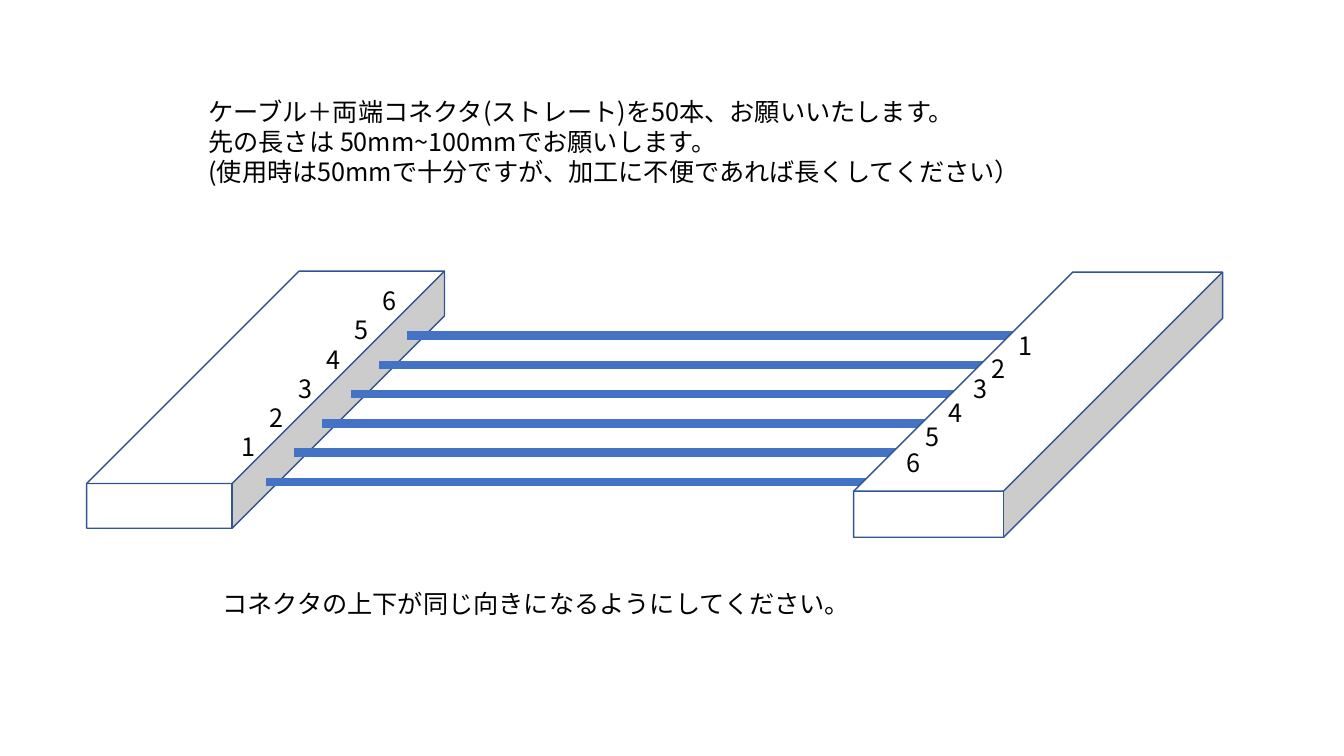
from lxml import etree
from pptx import Presentation
from pptx.dml.color import RGBColor
from pptx.enum.shapes import MSO_CONNECTOR, MSO_SHAPE
from pptx.oxml.ns import qn
from pptx.util import Pt

CUBE = MSO_SHAPE.CUBE
STRAIGHT = MSO_CONNECTOR.STRAIGHT

PIN_COUNT = 6
PIN_STEP_X, PIN_STEP_Y = 20.12, 20.88


def color(hex_value):
    return RGBColor.from_string(hex_value)


class WiringSlide:
    font_name = "Noto Sans CJK JP"
    font_size = 18
    line_spacing = 21.6
    text_color = "000000"
    cube_fill = "FFFFFF"
    cube_line = "325491"
    cable_color = "4472C4"

    def __init__(self, presentation):
        self.slide = presentation.slides.add_slide(presentation.slide_layouts[6])

    def add_text(self, text, left, top, width, height=28.8, wrap=True):
        shape = self.slide.shapes.add_textbox(Pt(left), Pt(top), Pt(width), Pt(height))
        text_frame = shape.text_frame
        text_frame.word_wrap = wrap
        text_frame.margin_top = Pt(4.6)
        text_frame.text = text
        for paragraph in text_frame.paragraphs:
            paragraph.line_spacing = Pt(self.line_spacing)
            for run in paragraph.runs:
                run.font.name = self.font_name
                run.font.size = Pt(self.font_size)
                run.font.color.rgb = color(self.text_color)
                # East Asian typeface
                properties = run._r.get_or_add_rPr()
                etree.SubElement(properties, qn("a:ea"), typeface=self.font_name)

    def add_pin_label(self, number, left, top):
        self.add_text(str(number), left, top, 24.5, wrap=False)

    def add_cube(self, left, top, width, height):
        shape = self.slide.shapes.add_shape(CUBE, Pt(left), Pt(top), Pt(width), Pt(height))
        shape.adjustments[0] = 0.826
        shape.shadow.inherit = False
        shape.fill.solid()
        shape.fill.fore_color.rgb = color(self.cube_fill)
        shape.line.color.rgb = color(self.cube_line)
        shape.line.width = Pt(1)

    def add_cable(self, left, top, length):
        connector = self.slide.shapes.add_connector(
            STRAIGHT, Pt(left), Pt(top), Pt(left + length), Pt(top))
        connector.line.color.rgb = color(self.cable_color)
        connector.line.width = Pt(6)
        etree.SubElement(connector._element.spPr, qn("a:effectLst"))


def main():
    presentation = Presentation()
    presentation.slide_width = Pt(960)
    presentation.slide_height = Pt(540)
    wiring = WiringSlide(presentation)

    # Left connector and order text
    wiring.add_cube(61.9, 193.7, 255.6, 183.6)
    wiring.add_text(
        "ケーブル＋両端コネクタ(ストレート)を50本、お願いいたします。\n"
        "先の長さは 50mm~100mmでお願いします。\n"
        "(使用時は50mmで十分ですが、加工に不便であれば長くしてください）",
        141.8, 64.1, 600.5, 72.7)

    # Left pin numbers and cables, from front to back
    for pin in range(PIN_COUNT):
        shift_x, shift_y = pin * PIN_STEP_X, pin * PIN_STEP_Y
        wiring.add_pin_label(pin + 1, 165.6 + shift_x, 303.8 - shift_y)
        wiring.add_cable(190.1 + shift_x, 344.2 - shift_y, 443.4)

    # Right connector, numbered from back to front
    wiring.add_cube(609.8, 194.4, 263.5, 189.4)
    right_labels = [(720.7, 231.1), (701.3, 247.7), (688.3, 262.1),
                    (670.3, 279.4), (653.8, 296.6), (640.1, 314.6)]
    for number, (left, top) in enumerate(right_labels, start=1):
        wiring.add_pin_label(number, left, top)

    # Orientation note
    wiring.add_text("コネクタの上下が同じ向きになるようにしてください。", 151.9, 415.4, 468.7)

    presentation.save("out.pptx")


if __name__ == "__main__":
    main()
